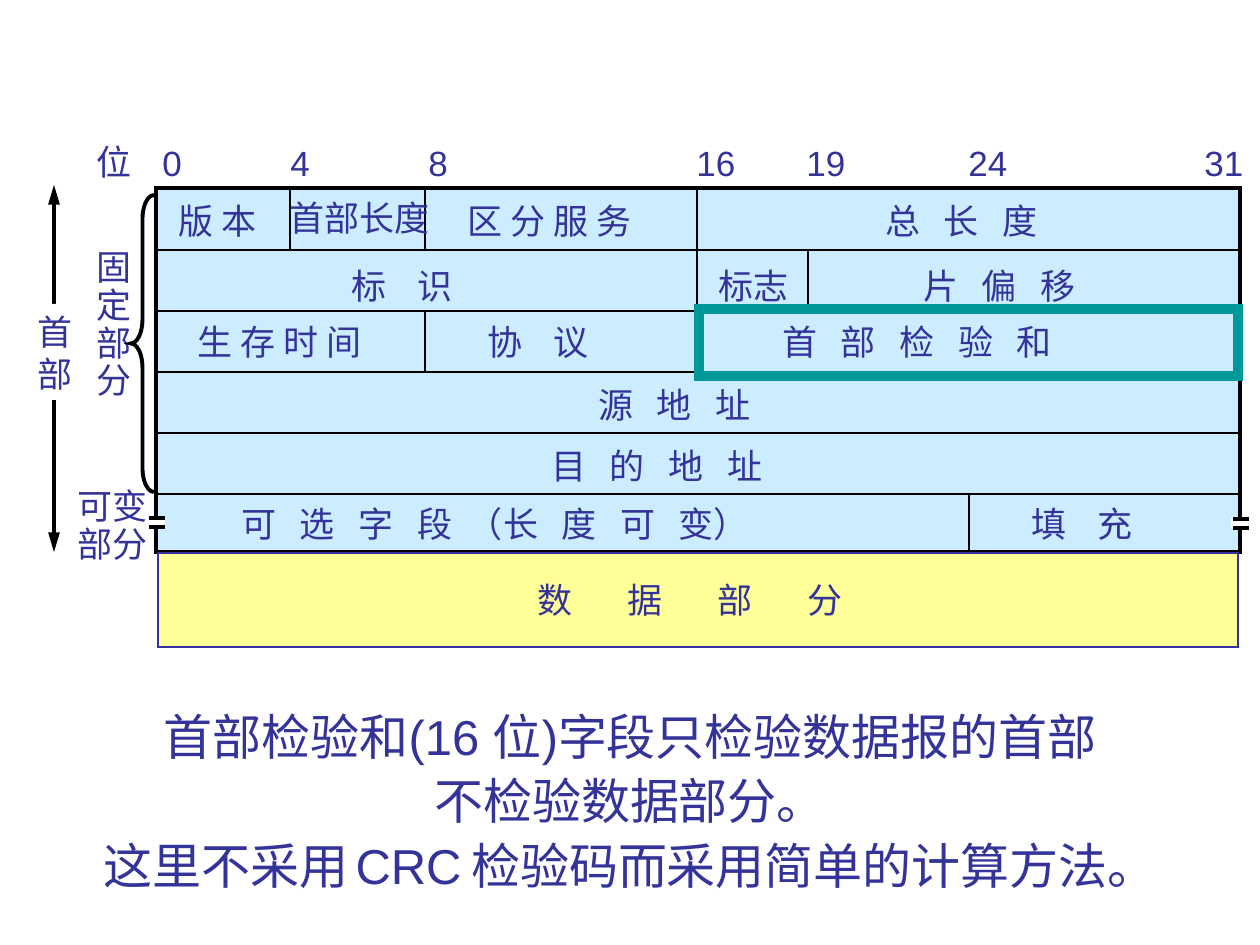
from lxml import etree
from pptx import Presentation
from pptx import util as u
from pptx.dml.color import RGBColor
from pptx.enum import shapes, text
from pptx.oxml.ns import qn

PX = u.Inches(1) / 126
INK = RGBColor(0x33, 0x33, 0x99)
BLACK = RGBColor(0, 0, 0)
WHITE = RGBColor(255, 255, 255)
HEADER_FILL = RGBColor(0xCC, 0xEC, 0xFF)
DATA_FILL = RGBColor(0xFF, 0xFF, 0x99)
HIGHLIGHT = RGBColor(0, 0x99, 0x99)

TOP, ROW_H, BOTTOM = 189, 61, 552
BIT_X = {0: 156, 4: 290, 8: 425, 16: 697, 19: 808, 24: 969, 32: 1241}
DIVIDERS = [(4, 0, 1), (8, 0, 1), (8, 2, 3), (16, 0, 3), (19, 1, 2), (24, 5, 6)]

BIT_LABELS = [("0", 150, 44), ("4", 278, 44), ("8", 416, 44), ("16", 684, 64),
              ("19", 794, 64), ("24", 956, 64), ("31", 1192, 64)]

# Row label top, then fields: left, width, runs of (text, gap in spaces)
ROWS = [
    (193, [(166, 112, [("版 本", 1)]), (455, 218, [("区 分 服 务", 1)]),
           (873, 236, [("总 长 度", 3)])]),
    (258, [(339, 165, [("标 识", 4)]), (706, 96, [("标志", 1)]),
           (911, 236, [("片 偏 移", 3)])]),
    (314, [(185, 218, [("生 存 时 间", 1)]), (475, 165, [("协 议", 4)]),
           (770, 411, [("首 部 检 验 和", 3)])]),
    (377, [(586, 236, [("源 地 址", 3)])]),
    (438, [(539, 323, [("目 的 地 址", 3)])]),
    (496, [(229, 726, [("可 选 字 段", 3), (" （", 1), ("长 度 可 ", 3), ("变）", 1)]),
           (1019, 165, [("填 充", 4)])]),
]

# Lines of text, box, line spacing
SIDE_LABELS = [
    (["位"], (84, 134, 60, 54), 1.0),
    (["首部长度"], (277, 190, 174, 54), 1.0),
    (["固", "定", "部", "分"], (84, 244, 60, 164), 0.9),
    (["可变", "部分"], (65, 483, 98, 88), 0.9),
]
NOTES = [
    [("首部检验和(16 位)字段只检验数据报的首部", 28)],
    [("不检验数据部分。", 28)],
    [("这里不采用", 28), (" ", 18), ("CRC", 28), (" ", 20),
     ("检验码而采用简单的计算方法。", 28)],
]

prs = Presentation()
prs.slide_width, prs.slide_height = u.Inches(10), u.Inches(7.5)
s = prs.slides.add_slide(prs.slide_layouts[6])


def emu(*lengths):
    return [round(v * PX) for v in lengths]


def add_line(x1, y1, x2, y2, width=1, arrows=False):
    c = s.shapes.add_connector(shapes.MSO_CONNECTOR.STRAIGHT, *emu(x1, y1, x2, y2))
    c.line.color.rgb, c.line.width = BLACK, u.Pt(width)
    if arrows:
        ln = c.line._get_or_add_ln()
        for end in ("a:headEnd", "a:tailEnd"):
            etree.SubElement(ln, qn(end), type="triangle", w="med", len="lg")
    etree.SubElement(c._element.spPr, qn("a:effectLst"))


def add_box(box, fill=None, line=None, width=1, kind=shapes.MSO_SHAPE.RECTANGLE):
    sp = s.shapes.add_shape(kind, *emu(*box))
    sp.shadow.inherit = False
    for part, color in ((sp.fill, fill), (sp.line.fill, line)):
        if color is None:
            part.background()
        else:
            part.solid()
            part.fore_color.rgb = color
    if line is not None:
        sp.line.width = u.Pt(width)
        etree.SubElement(sp.line._get_or_add_ln(), qn("a:miter"), lim="800000")
    return sp


def add_text(box, paragraphs, spacing=1.0, align=None, wrap=False):
    """Each paragraph is a list of runs: (text, size, gap in spaces)."""
    sp = s.shapes.add_textbox(*emu(*box))
    tf = sp.text_frame
    tf.word_wrap = wrap
    tf.auto_size = text.MSO_AUTO_SIZE.SHAPE_TO_FIT_TEXT
    for i, runs in enumerate(paragraphs):
        p = tf.add_paragraph() if i else tf.paragraphs[0]
        p.line_spacing, p.alignment = spacing, align
        for words, size, gap in runs:
            r = p.add_run()
            r.text = words
            for name, value in {"name": "Arial", "size": u.Pt(size)}.items():
                setattr(r.font, name, value)
            r.font.color.rgb = INK
            if gap > 1:  # half a space, 0.224 em wide, on each side of a real one
                r.font._element.set("spc", str(round((gap - 1) * size * 11.2)))
    return sp


def add_label(box, runs, **options):
    return add_text(box, [[(words, 20, gap) for words, gap in runs]], **options)


def add_break_mark(x, y):
    add_box((x, y, 18, 10), WHITE)
    for line_y in (y + 1, y + 10):
        add_line(x + 2, line_y, x + 18, line_y, 2)


left, right = BIT_X[0], BIT_X[32]

add_line(54, 185, 54, BOTTOM, 2.25, arrows=True)
header_label = add_text((25, 304, 60, 96), [[("首", 20, 1)], [("部", 20, 1)]])
header_label.fill.solid()
header_label.fill.fore_color.rgb = WHITE

add_box((left, TOP - 1, right - left - 1, BOTTOM - TOP + 1), HEADER_FILL, BLACK, 2)
add_box((158, 553, 1080, 94), DATA_FILL, INK)
for row in range(1, 6):
    add_line(left, TOP + row * ROW_H, right, TOP + row * ROW_H)
for bit, first, last in DIVIDERS:
    add_line(BIT_X[bit], TOP + first * ROW_H, BIT_X[bit], min(TOP + last * ROW_H, BOTTOM))

for label, x, w in BIT_LABELS:
    add_label((x, 135, w, 54), [(label, 1)])
for y, fields in ROWS:
    for x, w, runs in fields:
        add_label((x, y, w, 54), runs)
for lines, box, spacing in SIDE_LABELS:
    add_text(box, [[(line, 20, 1)] for line in lines], spacing)
add_label((525, 572, 401, 96), [("数 据 部 分", 7)], wrap=True)

add_break_mark(147, 517)
add_break_mark(1231, 518)

add_text((67, 694, 1126, 207), [[(words, size, 1) for words, size in runs] for runs in NOTES],
         1.1, text.PP_ALIGN.CENTER)
add_box((699, 309, 539, 67), line=HIGHLIGHT, width=6)
brace = add_box((131, 195, 23, 297), line=BLACK, width=2.25, kind=shapes.MSO_SHAPE.LEFT_BRACE)
brace.adjustments[0] = 1.05

prs.save("out.pptx")
